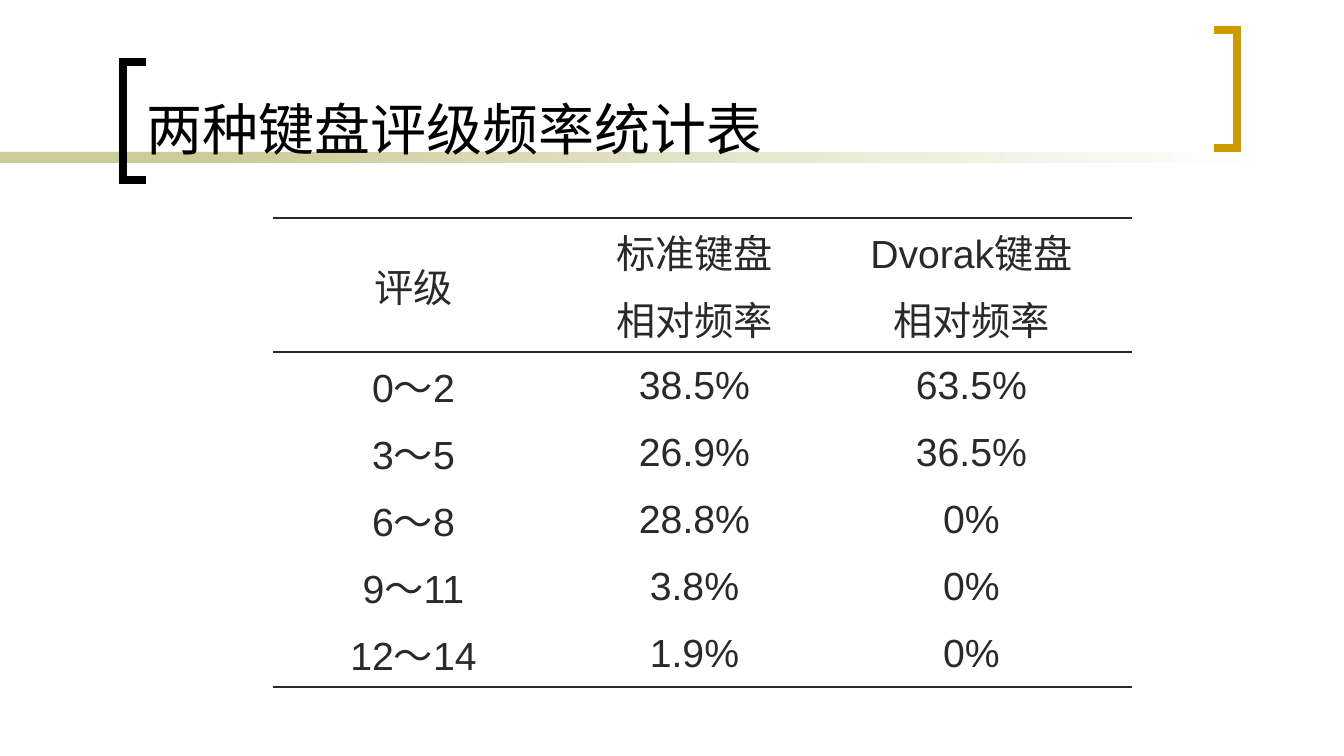
from dataclasses import dataclass

from lxml import etree
from pptx import Presentation
from pptx.dml.color import RGBColor
from pptx.enum.shapes import MSO_SHAPE
from pptx.enum.text import MSO_ANCHOR, PP_ALIGN
from pptx.oxml.ns import qn
from pptx.util import Emu, Pt

RECTANGLE = MSO_SHAPE.RECTANGLE
BOTTOM, MIDDLE = MSO_ANCHOR.BOTTOM, MSO_ANCHOR.MIDDLE
LEFT, CENTER = PP_ALIGN.LEFT, PP_ALIGN.CENTER


@dataclass(frozen=True)
class Theme:
    font: str = "Arial"
    title_color: str = "000000"
    table_color: str = "292929"
    band: str = "CCCC99"
    band_end: str = "FFFFFF"
    gold: str = "CC9900"
    title_size: int = 40
    table_size: int = 28
    bracket_width: int = 6
    heavy_rule: float = 2.25
    light_rule: float = 1


THEME = Theme()
ROW_HEIGHT = 67
COLUMN_WIDTHS = (281, 281, 273, 24)
HEADER_ROWS = 2
RATINGS = (
    ("评级", "标准键盘", "Dvorak键盘"),
    ("", "相对频率", "相对频率"),
    ("0～2", "38.5%", "63.5%"),
    ("3～5", "26.9%", "36.5%"),
    ("6～8", "28.8%", "0%"),
    ("9～11", "3.8%", "0%"),
    ("12～14", "1.9%", "0%"),
)


def px(length):
    return Emu(round(length * 914400 / 100.8))


def rgb(value):
    return RGBColor.from_string(value)


def write_text(frame, text, *, size, color, align=LEFT, anchor=MIDDLE):
    frame.word_wrap = True
    frame.vertical_anchor = anchor
    paragraph = frame.paragraphs[0]
    paragraph.alignment = align
    run = paragraph.add_run()
    run.text = text
    run.font.name = THEME.font
    run.font.size = Pt(size)
    run.font.color.rgb = rgb(color)


def add_band(slide, left, width, end_color=None):
    band = slide.shapes.add_shape(RECTANGLE, px(left), px(152), px(width), px(11))
    band.shadow.inherit = False
    band.line.fill.background()
    if end_color is None:
        band.fill.solid()
        band.fill.fore_color.rgb = rgb(THEME.band)
        return
    band.fill.gradient()
    band.fill.gradient_angle = 0
    for stop, color in zip(band.fill.gradient_stops, (THEME.band, end_color)):
        stop.color.rgb = rgb(color)


def add_bracket(slide, tip_x, spine_x, top, color):
    bottom = top + 118
    outline = slide.shapes.build_freeform(px(tip_x), px(top))
    outline.add_line_segments(
        [(px(x), px(y)) for x, y in ((spine_x, top), (spine_x, bottom), (tip_x, bottom))],
        close=False,
    )
    bracket = outline.convert_to_shape()
    bracket.shadow.inherit = False
    bracket.fill.background()
    bracket.line.color.rgb = rgb(color)
    bracket.line.width = Pt(THEME.bracket_width)
    line = bracket.line.fill._xPr
    etree.SubElement(line, qn("a:miter"), lim="800000")


def add_title(slide, text):
    title = slide.shapes.add_textbox(px(137), px(11), px(1052), px(156))
    write_text(title.text_frame, text, size=THEME.title_size,
               color=THEME.title_color, anchor=BOTTOM)


def set_borders(cell, top, bottom):
    properties = cell._tc.get_or_add_tcPr()
    for edge, width in (("L", 0), ("R", 0), ("T", top), ("B", bottom)):
        line = etree.SubElement(properties, qn(f"a:ln{edge}"), w=str(Pt(width)))
        if width:
            fill = etree.SubElement(line, qn("a:solidFill"))
            etree.SubElement(fill, qn("a:srgbClr"), val=THEME.table_color)
        else:
            etree.SubElement(line, qn("a:noFill"))


def add_ratings_table(slide):
    row_count, column_count = len(RATINGS), len(COLUMN_WIDTHS)
    table = slide.shapes.add_table(
        row_count, column_count, px(273), px(218),
        px(sum(COLUMN_WIDTHS)), px(ROW_HEIGHT * row_count),
    ).table
    table.first_row = False
    table.horz_banding = False
    for column, width in zip(table.columns, COLUMN_WIDTHS):
        column.width = px(width)
    rules = {0: THEME.heavy_rule, HEADER_ROWS: THEME.light_rule, row_count: THEME.heavy_rule}
    for row_index, row in enumerate(table.rows):
        row.height = px(ROW_HEIGHT)
        for cell in row.cells:
            set_borders(cell, rules.get(row_index, 0), rules.get(row_index + 1, 0))
            cell.fill.background()
        for cell, text in zip(row.cells, RATINGS[row_index]):
            if text:
                cell.vertical_anchor = MIDDLE
                write_text(cell.text_frame, text, size=THEME.table_size,
                           color=THEME.table_color, align=CENTER)
    rating_header = table.cell(0, 0)
    rating_header.merge(table.cell(HEADER_ROWS - 1, 0))
    set_header_rule(rating_header)


def set_header_rule(cell):
    properties = cell._tc.get_or_add_tcPr()
    for line in list(properties):
        properties.remove(line)
    set_borders(cell, THEME.heavy_rule, THEME.light_rule)
    cell.fill.background()


def main():
    presentation = Presentation()
    presentation.slide_width = px(1344)
    presentation.slide_height = px(756)
    slide = presentation.slides.add_slide(presentation.slide_layouts[6])
    add_band(slide, 0, 313)
    add_band(slide, 213, 1064, THEME.band_end)
    add_bracket(slide, 146, 123, 62, THEME.title_color)
    add_bracket(slide, 1214, 1237, 30, THEME.gold)
    add_title(slide, "两种键盘评级频率统计表")
    add_ratings_table(slide)
    presentation.save("out.pptx")


if __name__ == "__main__":
    main()
